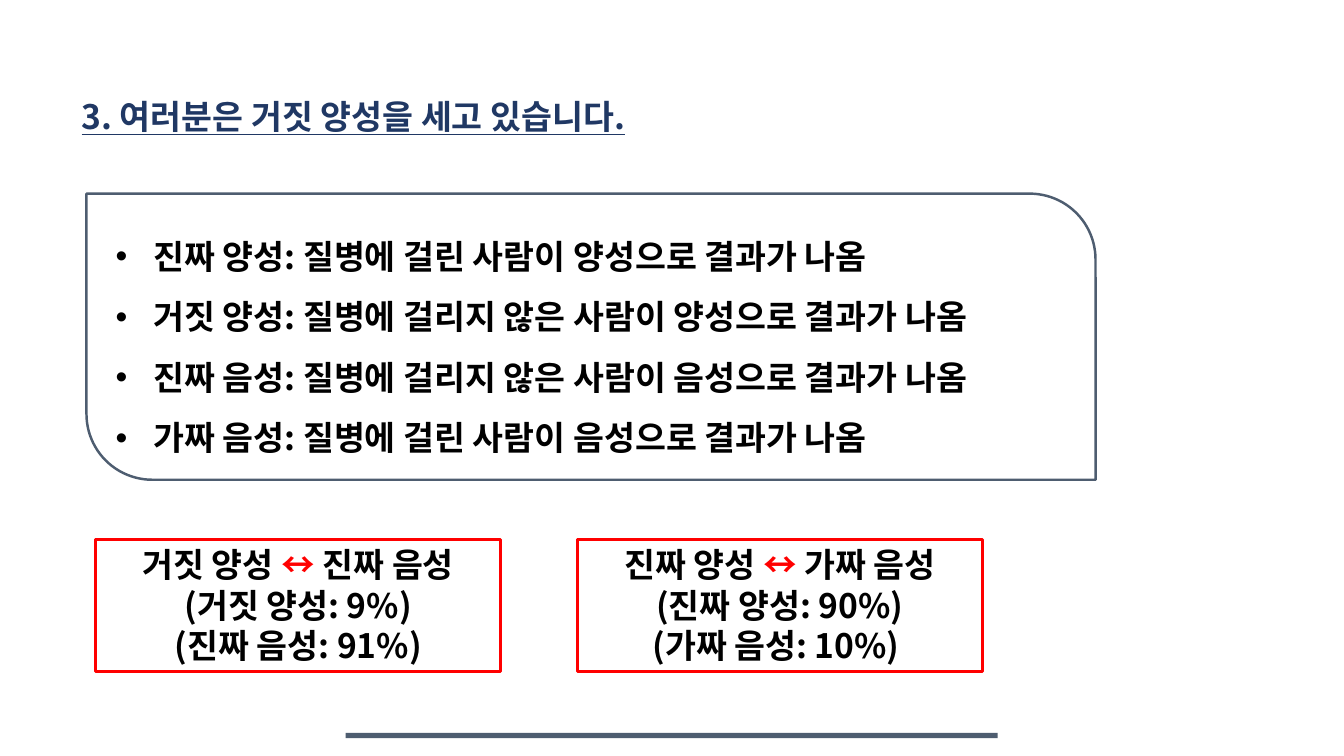
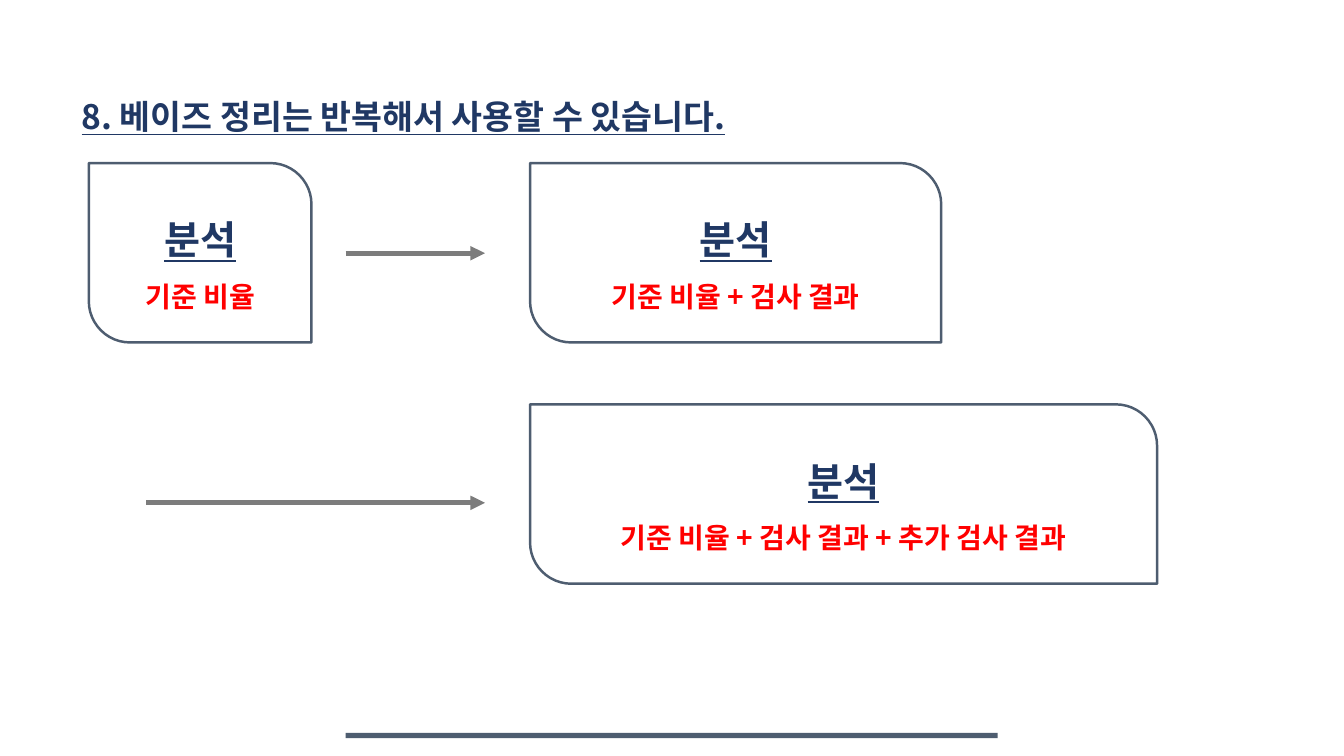
from lxml import etree
from pptx import Presentation
from pptx import util as u
from pptx.dml.color import RGBColor
from pptx.enum import shapes, text
from pptx.oxml import ns

Cm, Pt = u.Cm, u.Pt

NAVY = RGBColor(0x20, 0x38, 0x64)
SLATE = RGBColor(0x4E, 0x5D, 0x70)
GRAY = RGBColor(0x7C, 0x7C, 0x7C)
RED = RGBColor(0xFF, 0x00, 0x00)
BLACK = RGBColor(0x00, 0x00, 0x00)
WHITE = RGBColor(0xFF, 0xFF, 0xFF)
FONT = "Noto Sans CJK KR"
TITLE_ONLY = 5
CENTER = text.PP_ALIGN.CENTER


def add_child(parent, tag, **attributes):
    return etree.SubElement(parent, ns.qn(tag), attributes)


def add_run(paragraph, wording, color=BLACK, size=24, underline=False):
    run = paragraph.add_run()
    run.text = wording
    font = run.font
    font.size = Pt(size)
    font.bold = True
    font.underline = underline
    font.color.rgb = color
    font.name = FONT
    add_child(run._r.get_or_add_rPr(), "a:ea", typeface=FONT)


def add_paragraph(frame, index, align, spacing=1.5):
    paragraph = frame.add_paragraph() if index else frame.paragraphs[0]
    paragraph.alignment = align
    paragraph.line_spacing = spacing
    paragraph.space_before = Pt(0)
    return paragraph


def add_bullet(paragraph, indent):
    properties = paragraph._p.get_or_add_pPr()
    properties.set("marL", str(indent))
    properties.set("indent", str(-indent))
    add_child(properties, "a:buFont", typeface="Arial")
    add_child(properties, "a:buChar", char="•")


def place_title(slide, wording, width):
    title = slide.shapes.title
    title.left, title.top = Cm(1.8), Cm(1.78)
    title.width, title.height = Cm(width), Cm(1.6)
    frame = title.text_frame
    frame.word_wrap = True
    frame.auto_size = text.MSO_AUTO_SIZE.NONE
    frame.vertical_anchor = text.MSO_ANCHOR.TOP
    paragraph = add_paragraph(frame, 0, text.PP_ALIGN.LEFT)
    add_run(paragraph, wording, NAVY, underline=True)


def add_footer_bar(slide):
    bar = slide.shapes.add_shape(
        shapes.MSO_SHAPE.RECTANGLE, Cm(8.71), Cm(18.47), Cm(16.43), Cm(0.13))
    bar.shadow.inherit = False
    bar.fill.solid()
    bar.fill.fore_color.rgb = SLATE
    bar.line.fill.background()


def start_slide(deck, title, title_width):
    slide = deck.slides.add_slide(deck.slide_layouts[TITLE_ONLY])
    add_footer_bar(slide)
    place_title(slide, title, title_width)
    return slide


def add_panel(slide, left, top, width, height):
    panel = slide.shapes.add_shape(
        shapes.MSO_SHAPE.ROUND_2_DIAG_RECTANGLE,
        Cm(left), Cm(top), Cm(width), Cm(height))
    panel.adjustments[0], panel.adjustments[1] = 0, 0.23
    panel.shadow.inherit = False
    panel.fill.solid()
    panel.fill.fore_color.rgb = WHITE
    panel.line.color.rgb = SLATE
    panel.line.width = Pt(1.75)
    frame = panel.text_frame
    frame.word_wrap = True
    frame.vertical_anchor = text.MSO_ANCHOR.MIDDLE
    return frame


def add_definitions(slide, box, definitions):
    frame = add_panel(slide, *box)
    for index, definition in enumerate(definitions):
        paragraph = add_paragraph(frame, index, text.PP_ALIGN.JUSTIFY)
        add_bullet(paragraph, Cm(0.95))
        add_run(paragraph, definition)


def add_opposites(slide, box, first, second, rates):
    pair = slide.shapes.add_textbox(*map(Cm, box))
    pair.line.color.rgb = RED
    pair.line.width = Pt(2.25)
    frame = pair.text_frame
    frame.word_wrap = True
    heading = add_paragraph(frame, 0, CENTER, 1.0)
    add_run(heading, first + " ")
    add_run(heading, "↔ ", RED)
    add_run(heading, second)
    for index, rate in enumerate(rates, 1):
        add_run(add_paragraph(frame, index, CENTER, 1.0), rate)


def add_analysis(slide, box, inputs):
    frame = add_panel(slide, *box)
    add_run(add_paragraph(frame, 0, CENTER), "분석", NAVY, 28, True)
    add_run(add_paragraph(frame, 1, CENTER), " + ".join(inputs), RED, 20)


def add_arrow(slide, start, end, level):
    arrow = slide.shapes.add_connector(
        shapes.MSO_CONNECTOR.STRAIGHT, Cm(start), Cm(level), Cm(end), Cm(level))
    arrow.line.color.rgb = GRAY
    arrow.line.width = Pt(3.5)
    add_child(arrow.line._get_or_add_ln(), "a:tailEnd", type="triangle")
    add_child(arrow._element.spPr, "a:effectLst")


def build_false_positives(deck):
    slide = start_slide(deck, "3. 여러분은 거짓 양성을 세고 있습니다.", 16.66)
    add_definitions(slide, (2.18, 4.88, 25.43, 7.21), [
        "진짜 양성: 질병에 걸린 사람이 양성으로 결과가 나옴",
        "거짓 양성: 질병에 걸리지 않은 사람이 양성으로 결과가 나옴",
        "진짜 음성: 질병에 걸리지 않은 사람이 음성으로 결과가 나옴",
        "가짜 음성: 질병에 걸린 사람이 음성으로 결과가 나옴",
    ])
    opposites = [
        ("거짓 양성", "진짜 음성", ["(거짓 양성: 9%)", "(진짜 음성: 91%)"]),
        ("진짜 양성", "가짜 음성", ["(진짜 양성: 90%)", "(가짜 음성: 10%) "]),
    ]
    for column, (first, second, rates) in enumerate(opposites):
        box = (2.41 + column * 12.14, 13.59, 10.21, 3.33)
        add_opposites(slide, box, first, second, rates)


def build_repeated_analysis(deck):
    slide = start_slide(deck, "8. 베이즈 정리는 반복해서 사용할 수 있습니다.", 19.05)
    inputs = ["기준 비율", "검사 결과", "추가 검사 결과"]
    panels = [(2.24, 4.11, 5.61), (13.36, 4.11, 10.36), (13.36, 10.19, 15.8)]
    for count, (left, top, width) in enumerate(panels, 1):
        add_analysis(slide, (left, top, width, 4.52), inputs[:count])
    for start, level in [(8.71, 6.38), (3.68, 12.67)]:
        add_arrow(slide, start, 12.22, level)


def main():
    deck = Presentation()
    deck.slide_width, deck.slide_height = Cm(33.87), Cm(19.05)
    build_false_positives(deck)
    build_repeated_analysis(deck)
    deck.save("out.pptx")


if __name__ == "__main__":
    main()
